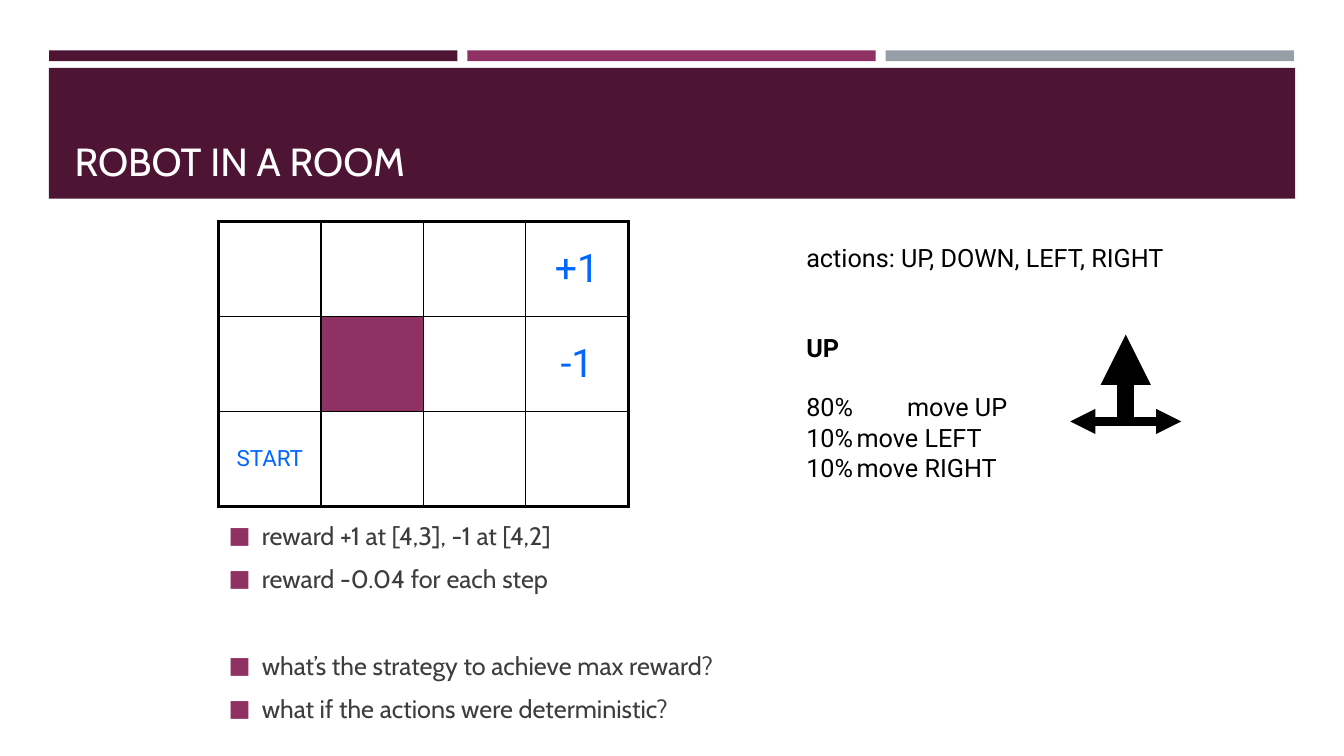
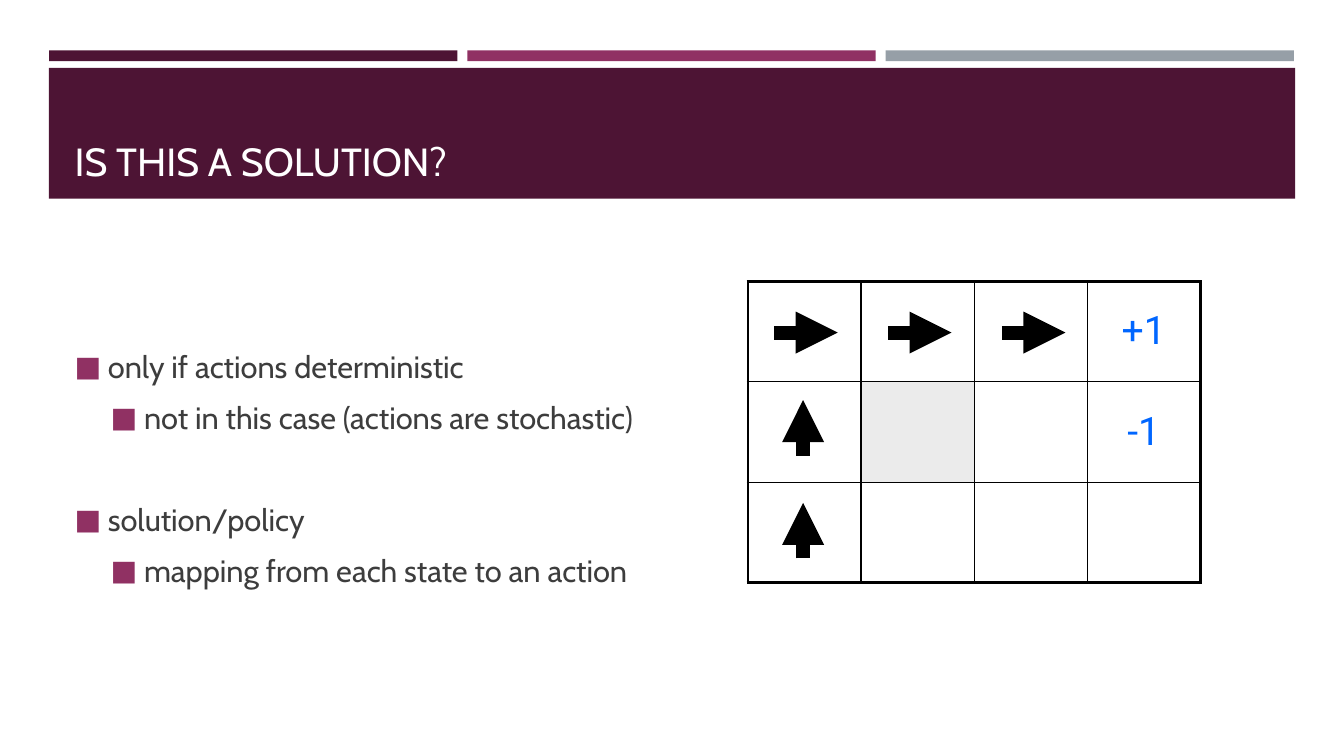
import dataclasses

import pptx
import pptx.dml.color
import pptx.enum.shapes
import pptx.enum.text
import pptx.oxml
import pptx.oxml.ns
import pptx.util
from lxml import etree

Cm = pptx.util.Cm
Pt = pptx.util.Pt
ALIGN = pptx.enum.text.PP_ALIGN
ANCHOR = pptx.enum.text.MSO_ANCHOR


@dataclasses.dataclass(frozen=True)
class Theme:
    plum: str = "4D1434"
    berry: str = "903163"
    slate: str = "969FA7"
    pale: str = "EBEBEB"
    white: str = "FFFFFF"
    black: str = "000000"
    blue: str = "0066FF"
    gray: str = "3D3D3D"
    heading_font: str = "Cabin"
    label_font: str = "Roboto"
    title_size: int = 28
    list_size: int = 22
    text_size: int = 18
    start_size: int = 16
    outer_border: float = 2.25
    inner_border: float = 1


THEME = Theme()


def rgb(color):
    return pptx.dml.color.RGBColor.from_string(color)


def add_child(parent, tag, **attributes):
    child = etree.SubElement(parent, pptx.oxml.ns.qn(tag))
    for name, value in attributes.items():
        child.set(name, str(value))
    return child


def write_text(paragraph, text, font=THEME.heading_font, size=THEME.text_size,
               color=THEME.black, bold=False, align=ALIGN.LEFT, before=0):
    paragraph.alignment = align
    if before:
        paragraph.space_before = Pt(before)
    paragraph.font.size = Pt(size)
    run = paragraph.add_run()
    run.text = text
    run.font.name = font
    run.font.size = Pt(size)
    run.font.color.rgb = rgb(color)
    run.font.bold = bold


def add_text_frame(slide, left, top, width, height, anchor=ANCHOR.TOP):
    box = slide.shapes.add_textbox(Cm(left), Cm(top), Cm(width), Cm(height))
    frame = box.text_frame
    frame.word_wrap = True
    frame.vertical_anchor = anchor
    return frame


def paragraphs_for(frame, items):
    """Pair each item with a paragraph, starting with the frame's first one."""
    for index, item in enumerate(items):
        yield (frame.add_paragraph() if index else frame.paragraphs[0]), item


def add_bullet(paragraph, level):
    properties = paragraph._p.get_or_add_pPr()
    properties.set("marL", str(Cm(0.84 + 0.91 * level)))
    properties.set("indent", str(Cm(-0.84)))
    paragraph.level = level
    add_child(add_child(properties, "a:buClr"), "a:srgbClr", val=THEME.berry)
    add_child(properties, "a:buSzPct", val=92000)
    add_child(properties, "a:buFont", typeface=THEME.heading_font)
    add_child(properties, "a:buChar", char="■")


def add_bullet_list(slide, items, left, top, width, height, size):
    """Write (text, level, space before) items as a bulleted list."""
    frame = add_text_frame(slide, left, top, width, height)
    for paragraph, (text, level, before) in paragraphs_for(frame, items):
        add_bullet(paragraph, level)
        write_text(paragraph, text, size=size, color=THEME.gray, before=before)


def add_bar(slide, left, top, width, height, color):
    bar = slide.shapes.add_shape(
        pptx.enum.shapes.MSO_SHAPE.RECTANGLE,
        Cm(left), Cm(top), Cm(width), Cm(height))
    bar.shadow.inherit = False
    bar.fill.solid()
    bar.fill.fore_color.rgb = rgb(color)
    bar.line.fill.background()


def add_titled_slide(presentation, title):
    slide = presentation.slides.add_slide(presentation.slide_layouts[6])
    for index, color in enumerate((THEME.plum, THEME.berry, THEME.slate)):
        add_bar(slide, 1.24 + 10.54 * index, 1.27, 10.29, 0.27, color)
    add_bar(slide, 1.23, 1.71, 31.41, 3.3, THEME.plum)
    frame = add_text_frame(slide, 1.63, 1.96, 30.63, 2.82, ANCHOR.BOTTOM)
    write_text(frame.paragraphs[0], title, size=THEME.title_size,
               color=THEME.white)
    return slide


def add_cell_borders(cell, outer_sides):
    properties = cell._tc.get_or_add_tcPr()
    for position, (tag, outer) in enumerate(outer_sides.items()):
        width = THEME.outer_border if outer else THEME.inner_border
        line = pptx.oxml.parse_xml(
            f'<a:{tag} {pptx.oxml.ns.nsdecls("a")} w="{Pt(width)}">'
            f'<a:solidFill><a:srgbClr val="{THEME.black}"/></a:solidFill>'
            f'</a:{tag}>')
        properties.insert(position, line)


def add_room(slide, left, top, column_width, row_height, wall_color, labels):
    """Draw the 4 by 3 room; labels maps (row, column) to (text, size)."""
    rows, columns = 3, 4
    table = slide.shapes.add_table(
        rows, columns, Cm(left), Cm(top),
        Cm(column_width * columns), Cm(row_height * rows)).table
    table.first_row = False
    table.horz_banding = False
    for row in range(rows):
        for column in range(columns):
            cell = table.cell(row, column)
            cell.vertical_anchor = ANCHOR.MIDDLE
            if (row, column) == (1, 1):
                cell.fill.solid()
                cell.fill.fore_color.rgb = rgb(wall_color)
            else:
                cell.fill.background()
            add_cell_borders(cell, {
                "lnL": column == 0, "lnR": column == columns - 1,
                "lnT": row == 0, "lnB": row == rows - 1})
            if (row, column) in labels:
                text, size = labels[row, column]
                write_text(cell.text_frame.paragraphs[0], text,
                           font=THEME.label_font, size=size,
                           color=THEME.blue, align=ALIGN.CENTER)


def add_arrow(shapes, start, end, width):
    arrow = shapes.add_connector(
        pptx.enum.shapes.MSO_CONNECTOR.STRAIGHT,
        *(Cm(value) for value in (*start, *end)))
    arrow.line.color.rgb = rgb(THEME.black)
    arrow.line.width = Pt(width)
    add_child(arrow.line._get_or_add_ln(), "a:tailEnd", type="triangle")
    add_child(arrow._element.spPr, "a:effectLst")


def add_action_notes(slide):
    frame = add_text_frame(slide, 20.07, 5.99, 10.72, 6.35)
    notes = (
        ("actions: UP, DOWN, LEFT, RIGHT", False, 0, None),
        ("UP", True, 42.2, None),
        ("80%\tmove UP", False, 21.1, 2.54),
        ("10%\tmove LEFT", False, 0, 1.27),
        ("10%\tmove RIGHT", False, 0, 1.27),
    )
    for paragraph, (text, bold, before, tab) in paragraphs_for(frame, notes):
        if tab:
            tabs = add_child(paragraph._p.get_or_add_pPr(), "a:tabLst")
            add_child(tabs, "a:tab", pos=Cm(tab), algn="l")
        write_text(paragraph, text, font=THEME.label_font, bold=bold,
                   before=before)


def add_robot_slide(presentation, goals):
    slide = add_titled_slide(presentation, "ROBOT IN A ROOM")
    add_room(slide, 5.51, 5.59, 2.58, 2.39, THEME.berry,
             {**goals, (2, 0): ("START", THEME.start_size)})
    moves = slide.shapes.add_group_shape().shapes
    add_arrow(moves, (28.37, 10.62), (28.37, 8.43), 12)
    add_arrow(moves, (28.37, 10.62), (29.77, 10.62), 6)
    add_arrow(moves, (28.58, 10.62), (26.97, 10.62), 6)
    add_action_notes(slide)
    add_bullet_list(slide, (
        ("reward +1 at [4,3], -1 at [4,2]", 0, 0),
        ("reward -0.04 for each step", 0, 9.3),
        ("what’s the strategy to achieve max reward?", 0, 40.5),
        ("what if the actions were deterministic?", 0, 9.3),
    ), 5.51, 12.98, 22.86, 6.05, THEME.text_size)


def add_solution_slide(presentation, goals):
    slide = add_titled_slide(presentation, "IS THIS A SOLUTION?")
    add_room(slide, 18.85, 7.09, 2.85, 2.53, THEME.pale, goals)
    for column in range(3):
        left = 19.51 + 2.87 * column
        add_arrow(slide.shapes, (left, 8.38), (left + 1.6, 8.38), 10)
    for row in range(2):
        bottom = 11.48 + 2.59 * row
        add_arrow(slide.shapes, (20.24, bottom), (20.24, bottom - 1.4), 10)
    add_bullet_list(slide, (
        ("only if actions deterministic", 0, 0),
        ("not in this case (actions are stochastic)", 1, 10),
        ("solution/policy", 0, 46.7),
        ("mapping from each state to an action", 1, 10),
    ), 1.63, 8.64, 15.32, 7.62, THEME.list_size)


def main():
    presentation = pptx.Presentation()
    presentation.slide_width = Cm(33.87)
    presentation.slide_height = Cm(19.05)
    goals = {(0, 3): ("+1", THEME.title_size),
             (1, 3): ("-1", THEME.title_size)}
    add_robot_slide(presentation, goals)
    add_solution_slide(presentation, goals)
    presentation.save("out.pptx")


if __name__ == "__main__":
    main()
